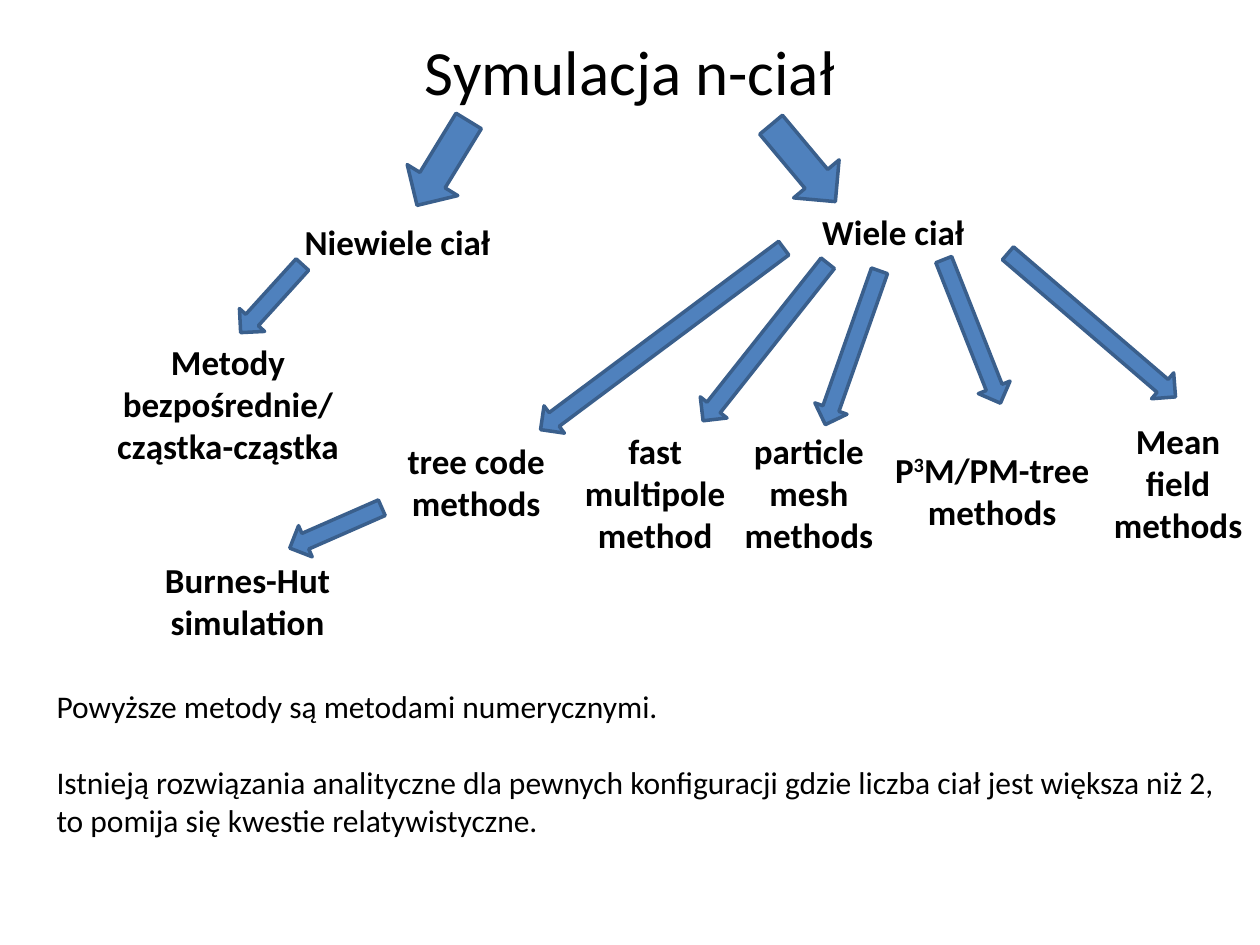
import math

from pptx import Presentation, util as u
from pptx.dml.color import RGBColor
from pptx.enum import shapes, text

INK = RGBColor(0x00, 0x00, 0x00)
ARROW_FILL = RGBColor(0x4F, 0x81, 0xBD)
ARROW_LINE = RGBColor(0x3A, 0x5F, 0x8C)
FONT = "Calibri"
COLUMNS, ROWS = 100, 75
SLIDE_WIDTH, SLIDE_HEIGHT = u.Inches(10), u.Inches(7.5)
COLUMN, ROW = SLIDE_WIDTH / COLUMNS, SLIDE_HEIGHT / ROWS

TITLE_BOX = (7.5, 2.1, 85, 7.1)
NOTES_BOX = (3.5, 54, 96.5, 13.1)
NOTES = [
    "Powyższe metody są metodami numerycznymi.",
    "Istnieją rozwiązania analityczne dla pewnych konfiguracji gdzie liczba ciał "
    "jest większa niż 2, to pomija się kwestie relatywistyczne.",
]
METHODS = [
    ((15.4, 17, 32.3, 4.4), [["Niewiele ciał"]]),
    ((64.1, 16.2, 13.6, 4.4), [["Wiele ciał"]]),
    ((5.1, 26.5, 26, 11.1), [["Metody bezpośrednie/"], ["cząstka-cząstka"]]),
    ((31.1, 34.4, 13.4, 7.7), [["tree code methods"]]),
    ((45.3, 33.6, 13.4, 11.1), [["fast multipole method"]]),
    ((57.1, 33.6, 14.2, 11.1), [["particle mesh methods"]]),
    ((68.1, 35.1, 21.3, 7.7), [["P", ("3", 30), "M/PM-tree methods"]]),
    ((87, 32.8, 13, 11.1), [["Mean field methods"]]),
    ((10.6, 43.8, 18.1, 7.7), [["Burnes-Hut simulation"]]),
]
WIDE, NARROW = 4.7, 2.7
BRANCHES = [
    ((37.2, 9.6), (33.1, 16.3), WIDE),
    ((61.2, 9.9), (66.3, 16), WIDE),
    ((24, 21), (19.1, 26.4), NARROW),
    ((62.2, 19.7), (42.9, 34.1), NARROW),
    ((65.7, 20.9), (55.8, 33.4), NARROW),
    ((69.8, 21.5), (65.5, 33.7), NARROW),
    ((74.9, 20.6), (79.4, 32), NARROW),
    ((80, 20.1), (93.3, 31.5), NARROW),
    ((30.3, 40.3), (23, 43.5), NARROW),
]


def place(box):
    left, top, width, height = box
    return (round(left * COLUMN), round(top * ROW),
            round(width * COLUMN), round(height * ROW))


def add_label(slide, box, paragraphs, size, bold=False,
              align=text.PP_ALIGN.CENTER, gap=0):
    frame = slide.shapes.add_textbox(*place(box)).text_frame
    frame.word_wrap = True
    for index, pieces in enumerate(paragraphs):
        paragraph = frame.add_paragraph() if index else frame.paragraphs[0]
        paragraph.alignment = align
        if index:
            paragraph.space_before = u.Pt(gap)
        for piece in pieces:
            words, raised = (piece, 0) if isinstance(piece, str) else piece
            run = paragraph.add_run()
            run.text = words
            run.font.name = FONT
            run.font.size = u.Pt(size)
            run.font.bold = bold
            run.font.color.rgb = INK
            if raised:
                run._r.get_or_add_rPr().set("baseline", str(raised * 1000))


def add_branch(slide, tail, tip, width):
    across, down = tip[0] - tail[0], tip[1] - tail[1]
    length = math.hypot(across, down)
    box = ((tail[0] + tip[0] - width) / 2, (tail[1] + tip[1] - length) / 2,
           width, length)
    branch = slide.shapes.add_shape(shapes.MSO_SHAPE.DOWN_ARROW, *place(box))
    branch.rotation = math.degrees(math.atan2(-across, down)) % 360
    branch.shadow.inherit = False
    branch.fill.solid()
    branch.fill.fore_color.rgb = ARROW_FILL
    branch.line.color.rgb = ARROW_LINE
    branch.line.width = u.Pt(2)


def add_title(slide, box):
    add_label(slide, box, [["Symulacja n-ciał"]], 36)


def add_method_tree(slide, methods, branches):
    for box, paragraphs in methods:
        add_label(slide, box, paragraphs, 20, bold=True)
    for tail, tip, width in branches:
        add_branch(slide, tail, tip, width)


def add_notes_block(slide, box):
    add_label(slide, box, [[note] for note in NOTES], 18,
              align=text.PP_ALIGN.LEFT, gap=22)


def main():
    deck = Presentation()
    deck.slide_width, deck.slide_height = SLIDE_WIDTH, SLIDE_HEIGHT
    slide = deck.slides.add_slide(deck.slide_layouts[6])
    add_title(slide, TITLE_BOX)
    add_method_tree(slide, METHODS, BRANCHES)
    add_notes_block(slide, NOTES_BOX)
    deck.save("out.pptx")


if __name__ == "__main__":
    main()
